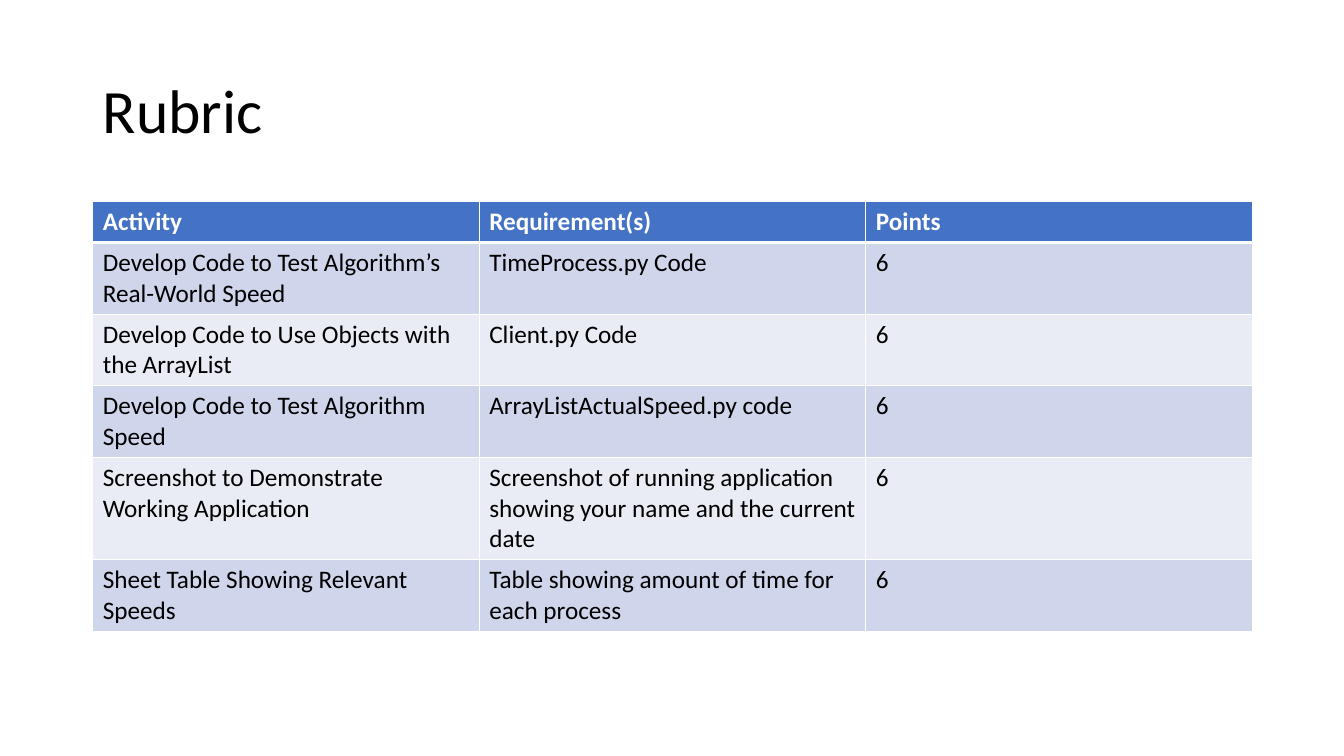
from lxml.etree import SubElement
from pptx import Presentation
from pptx.dml.color import RGBColor as Color
from pptx.enum.text import MSO_ANCHOR as Anchor, PP_ALIGN as Align
from pptx.oxml.ns import qn
from pptx.util import Inches, Pt

FONT = "Calibri"
WHITE, BLACK, BLUE = "FFFFFF", "000000", "4472C4"
BANDS = ("CFD5EA", "E9EBF5")
LEFT, WIDTH = 0.92, 11.5
TITLE_BOX = (LEFT, 0.4, WIDTH, 1.45)
TABLE_BOX = (LEFT, 2, WIDTH, 4.21)
LINES_PER_ROW = (1, 2, 2, 2, 3, 2)
LINE_HEIGHT, ROW_PADDING = 0.3, 0.1

RUBRIC = (
    ("Activity", "Requirement(s)", "Points"),
    ("Develop Code to Test Algorithm’s Real-World Speed", "TimeProcess.py Code", "6"),
    ("Develop Code to Use Objects with the ArrayList", "Client.py Code", "6"),
    ("Develop Code to Test Algorithm Speed", "ArrayListActualSpeed.py code", "6"),
    ("Screenshot to Demonstrate Working Application",
     "Screenshot of running application showing your name and the current date", "6"),
    ("Sheet Table Showing Relevant Speeds",
     "Table showing amount of time for each process", "6"),
)


def paint(target, color):
    """Give a fill a solid colour from a hex string."""
    target.solid()
    target.fore_color.rgb = Color.from_string(color)


def write(frame, text, size, color, bold=False):
    """Set the text of a frame and format its runs."""
    frame.text = text
    for para in frame.paragraphs:
        para.alignment = Align.LEFT
        for span in para.runs:
            span.font.name, span.font.size, span.font.bold = FONT, Pt(size), bold
            paint(span.font.fill, color)


def rule_below(cell, color, points):
    """Draw a solid line along the bottom of a cell."""
    properties = cell._tc.get_or_add_tcPr()
    line = SubElement(properties, qn("a:lnB"), w=str(Pt(points)))
    SubElement(SubElement(line, qn("a:solidFill")), qn("a:srgbClr"), val=color)
    properties.insert(0, line)


def add_title(page, box, text):
    """Move the title placeholder to the box and fill it."""
    title = page.shapes.title
    title.left, title.top, title.width, title.height = map(Inches, box)
    write(title.text_frame, text, 44, BLACK)
    title.text_frame.vertical_anchor = Anchor.MIDDLE
    title.text_frame.paragraphs[0].line_spacing = 0.9


def add_rubric(page, box, rows):
    """Add the banded rubric table with equal columns across the box."""
    table = page.shapes.add_table(len(rows), len(rows[0]), *map(Inches, box)).table
    for column in table.columns:
        column.width = Inches(box[2] / len(rows[0]))
    for index, (row, texts) in enumerate(zip(table.rows, rows)):
        row.height = Inches(LINES_PER_ROW[index] * LINE_HEIGHT + ROW_PADDING)
        header = index == 0
        for cell, text in zip(row.cells, texts):
            write(cell.text_frame, text, 18, WHITE if header else BLACK, header)
            paint(cell.fill, BLUE if header else BANDS[(index - 1) % 2])
            if header:
                rule_below(cell, WHITE, 3)


deck = Presentation()
deck.slide_width, deck.slide_height = Inches(13.33), Inches(7.5)
rubric_page = deck.slides.add_slide(deck.slide_layouts[5])
paint(rubric_page.background.fill, WHITE)
add_title(rubric_page, TITLE_BOX, "Rubric")
add_rubric(rubric_page, TABLE_BOX, RUBRIC)
deck.save("out.pptx")
